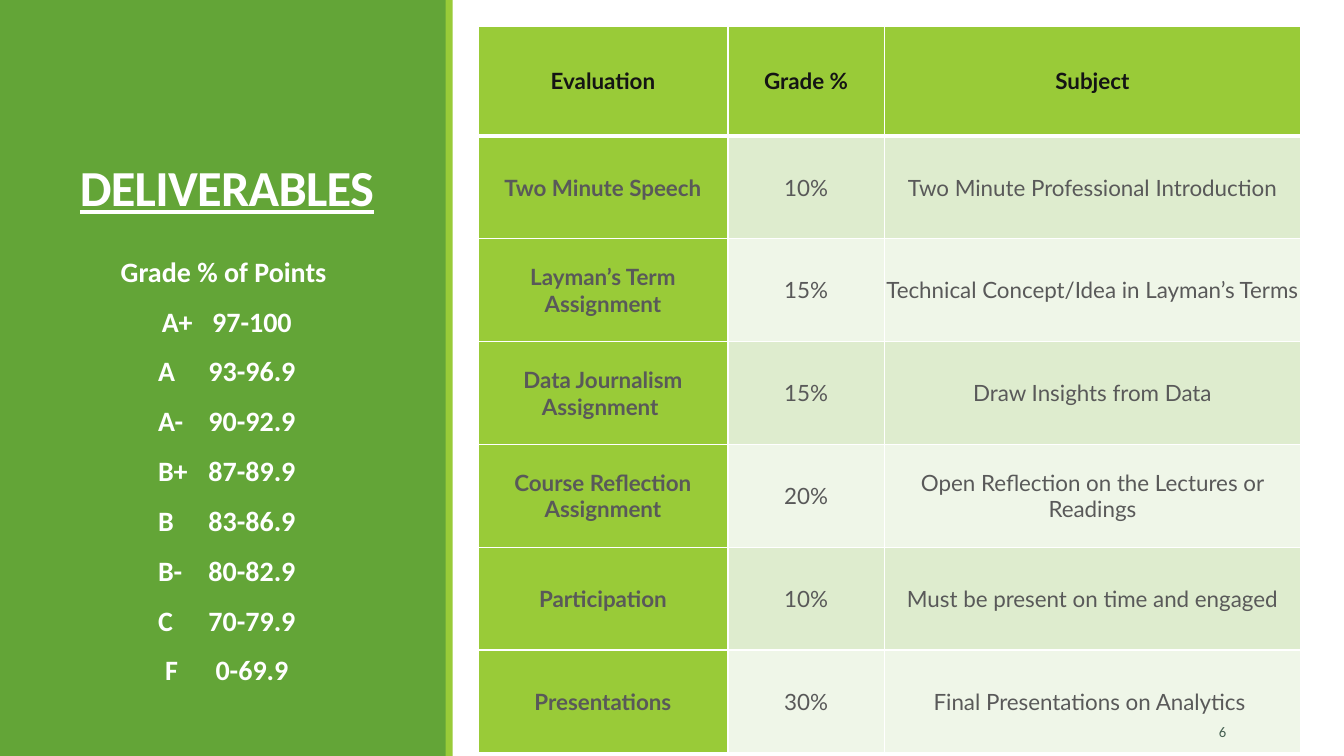
from pptx import Presentation
from pptx.dml.color import RGBColor
from pptx.enum.shapes import MSO_SHAPE
from pptx.enum.text import MSO_ANCHOR, PP_ALIGN
from pptx.oxml.ns import qn
from pptx.util import Emu, Pt
from lxml.etree import SubElement

EMU_PER_PX = 9144  # 100 px to the inch
COLORS = {
    "green": "63A537", "lime": "99CB38", "white": "FFFFFF", "ink": "141414",
    "gray": "595959", "slate": "455F51", "band": "DEECCE", "pale": "EFF6E8",
}
HEADER = ("Evaluation", "Grade %", "Subject")
DELIVERABLES = [
    ("Two Minute Speech", "10%", "Two Minute Professional Introduction"),
    ("Layman’s Term Assignment", "15%", "Technical Concept/Idea in Layman’s Terms"),
    ("Data Journalism Assignment ", "15%", "Draw Insights from Data"),
    ("Course Reflection Assignment", "20%", "Open Reflection on the Lectures or Readings"),
    ("Participation", "10%", "Must be present on time and engaged"),
    ("Presentations", "30%", "Final Presentations on Analytics "),
]
GRADES = [
    ("A+", "97-100"), ("A", "93-96.9"), ("A-", "90-92.9"), ("B+", "87-89.9"),
    ("B", "83-86.9"), ("B-", "80-82.9"), ("C", "70-79.9"), ("F", "0-69.9"),
]


def px(length):
    return Emu(length * EMU_PER_PX)


def rgb(name):
    return RGBColor.from_string(COLORS[name])


class SlideBuilder:
    def __init__(self, page, font="Calibri"):
        self.page = page
        self.font = font

    def bar(self, left, top, width, height, color):
        bar = self.page.shapes.add_shape(
            MSO_SHAPE.RECTANGLE, px(left), px(top), px(width), px(height))
        bar.shadow.inherit = False
        bar.fill.solid()
        bar.fill.fore_color.rgb = rgb(color)
        bar.line.fill.background()

    def span(self, para, text, size, color, bold=False, font=None):
        span = para.add_run()
        span.text = text
        span.font.name = font or self.font
        span.font.size = Pt(size)
        span.font.bold = bold
        span.font.color.rgb = rgb(color)
        return span

    def text(self, left, top, width, height, lines, size, color, bold=False,
             align=PP_ALIGN.CENTER, anchor=MSO_ANCHOR.MIDDLE,
             spacing=1.0, before=0, after=0):
        """Add a text box with one paragraph per line and return its runs."""
        frame = self.page.shapes.add_textbox(
            px(left), px(top), px(width), px(height)).text_frame
        frame.word_wrap = True
        frame.vertical_anchor = anchor
        spans = []
        for index, line in enumerate(lines):
            para = frame.add_paragraph() if index else frame.paragraphs[0]
            para.alignment = align
            para.line_spacing = spacing
            para.space_before = Pt(before if index else 0)
            para.space_after = Pt(after)
            spans.append(self.span(para, line, size, color, bold))
        return spans

    def cell(self, cell, text, fill, color, bold, top_border, bottom_border):
        cell.margin_left = cell.margin_right = 0
        cell.margin_top = cell.margin_bottom = 0
        cell.vertical_anchor = MSO_ANCHOR.MIDDLE
        para = cell.text_frame.paragraphs[0]
        para.alignment = PP_ALIGN.CENTER
        para.space_after = Pt(4)
        self.span(para, text, 16, color, bold, "Lato")
        properties = cell._tc.get_or_add_tcPr()
        borders = {"lnL": 1, "lnR": 1, "lnT": top_border, "lnB": bottom_border}
        for side, points in borders.items():
            line = SubElement(properties, qn(f"a:{side}"), w=str(Pt(points)))
            solid = SubElement(line, qn("a:solidFill"))
            SubElement(solid, qn("a:srgbClr"), val=COLORS["white"])
        cell.fill.solid()
        cell.fill.fore_color.rgb = rgb(fill)

    def table(self, left, top, widths, header_height, row_height, rows):
        """Add a table whose first row is the header and first column the labels."""
        height = header_height + row_height * (len(rows) - 1)
        table = self.page.shapes.add_table(
            len(rows), len(widths), px(left), px(top), px(sum(widths)), px(height)).table
        for column, width in zip(table.columns, widths):
            column.width = px(width)
        for r, texts in enumerate(rows):
            table.rows[r].height = px(row_height if r else header_height)
            for c, text in enumerate(texts):
                accent = r == 0 or c == 0
                fill = "lime" if accent else "band" if r % 2 else "pale"
                self.cell(table.cell(r, c), text, fill, "gray" if r else "ink", accent,
                          top_border=3 if r == 1 else 1,
                          bottom_border=3 if r == 0 else 1)


def main():
    deck = Presentation()
    deck.slide_width, deck.slide_height = px(1333), px(750)
    builder = SlideBuilder(deck.slides.add_slide(deck.slide_layouts[6]))

    builder.bar(0, 0, 443, 750, "green")
    builder.bar(442, 0, 7, 750, "lime")

    title = builder.text(50, 65, 350, 250, ["DELIVERABLES"], 36, "white",
                         bold=True, spacing=0.85)[0]
    title.font.underline = True
    title.font._element.set("spc", "-50")

    builder.table(474, 26, (248, 155, 413), 109, 102, [HEADER, *DELIVERABLES])

    scale = ["Grade % of Points "] + [f"{grade}\t{points}" for grade, points in GRADES]
    builder.text(50, 251, 350, 438, scale, 20, "white", bold=True,
                 anchor=MSO_ANCHOR.TOP, spacing=0.9, before=12, after=2)

    builder.text(1083, 706, 143, 40, ["6"], 10.5, "slate", align=PP_ALIGN.RIGHT)
    deck.save("out.pptx")


if __name__ == "__main__":
    main()
